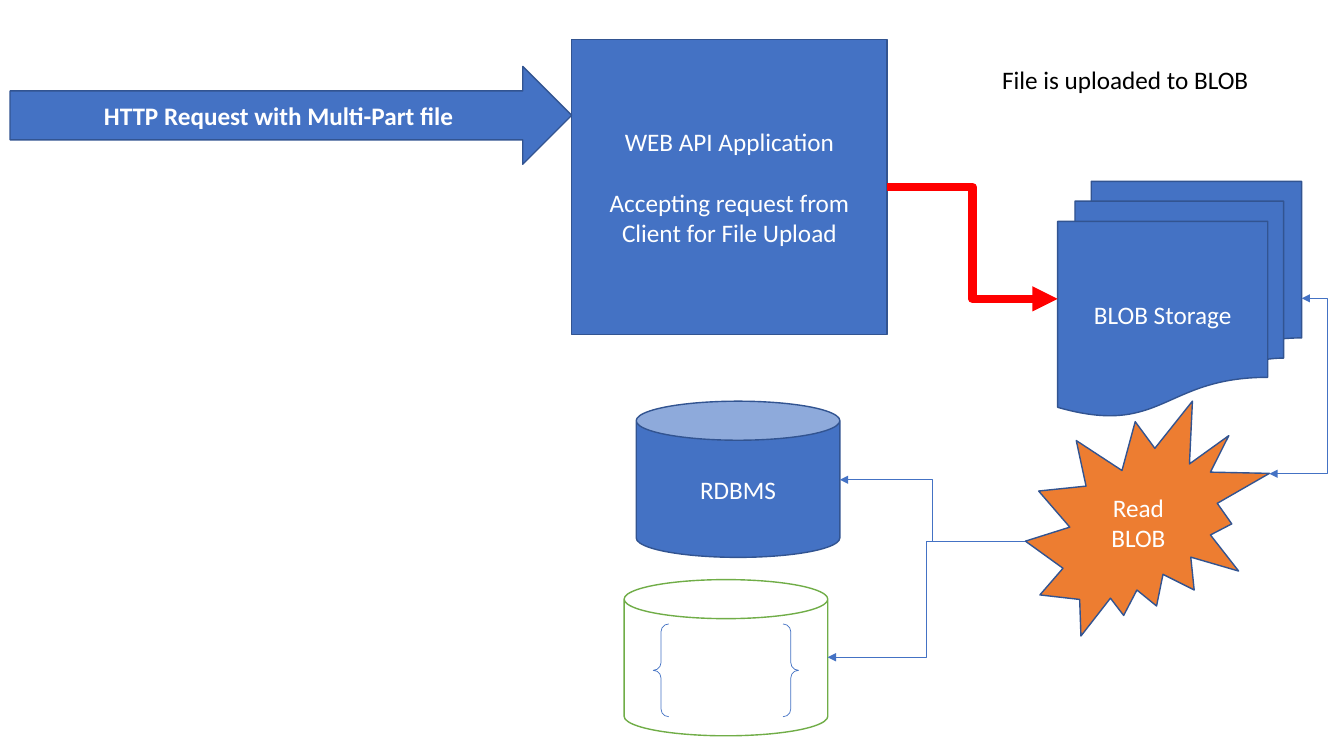
"""Build a slide showing how an uploaded file flows to BLOB storage and databases."""
import pptx
import pptx.dml.color
import pptx.enum.shapes
import pptx.enum.text
import pptx.oxml.ns
import pptx.util
from lxml import etree

Inches = pptx.util.Inches
Pt = pptx.util.Pt
Shapes = pptx.enum.shapes.MSO_SHAPE
BLUE, OUTLINE, ORANGE, GREEN = "4472C4", "325491", "ED7D31", "70AD47"
RED, WHITE, BLACK = "FF0000", "FFFFFF", "000000"


def set_color(color_format, value):
    color_format.rgb = pptx.dml.color.RGBColor.from_string(value)


def set_line(line, color, width):
    set_color(line.color, color)
    line.width = Pt(width)


def format_text(text_frame, color, bold=False):
    text_frame.word_wrap = True
    for paragraph in text_frame.paragraphs:
        for run in paragraph.runs:
            run.font.name = "Calibri"
            run.font.size = Pt(18)
            run.font.bold = bold
            set_color(run.font.color, color)


def add_block(slide, kind, box, text="", fill=BLUE, line=OUTLINE, width=1, bold=False):
    shape = slide.shapes.add_shape(kind, *map(Inches, box))
    shape.shadow.inherit = False
    if fill:
        shape.fill.solid()
        set_color(shape.fill.fore_color, fill)
    else:
        shape.fill.background()
    set_line(shape.line, line, width)
    if text:
        text_frame = shape.text_frame
        text_frame.text = text
        text_frame.vertical_anchor = pptx.enum.text.MSO_ANCHOR.MIDDLE
        for paragraph in text_frame.paragraphs:
            paragraph.alignment = pptx.enum.text.PP_ALIGN.CENTER
        format_text(text_frame, WHITE, bold)
    return shape


def add_label(slide, box, text):
    label = slide.shapes.add_textbox(*map(Inches, box))
    label.text_frame.text = text
    format_text(label.text_frame, BLACK)


def add_elbow(slide, start, end, color=BLUE, width=0.5, ends=("tailEnd",), bend=None):
    elbow = slide.shapes.add_connector(
        pptx.enum.shapes.MSO_CONNECTOR.ELBOW, *map(Inches, start + end))
    set_line(elbow.line, color, width)
    properties = elbow._element.spPr
    line = properties.find(pptx.oxml.ns.qn("a:ln"))
    for name in ends:
        etree.SubElement(line, pptx.oxml.ns.qn("a:" + name), type="triangle")
    etree.SubElement(properties, pptx.oxml.ns.qn("a:effectLst"))
    if bend is not None:
        adjustments = properties.find(pptx.oxml.ns.qn("a:prstGeom")).get_or_add_avLst()
        etree.SubElement(adjustments, pptx.oxml.ns.qn("a:gd"),
                         name="adj1", fmla=f"val {round(bend * 100000)}")
    return elbow


def main():
    presentation = pptx.Presentation()
    presentation.slide_width = Inches(13.33)
    presentation.slide_height = Inches(7.5)
    slide = presentation.slides.add_slide(presentation.slide_layouts[6])

    web_api = add_block(slide, Shapes.RECTANGLE, (5.67, 0.39, 3.13, 2.93),
                        "WEB API Application\nAccepting request from Client for File Upload")
    web_api.text_frame.paragraphs[1].space_before = Pt(22)
    add_block(slide, Shapes.RIGHT_ARROW, (0.1, 0.66, 5.57, 0.97),
              "HTTP Request with Multi-Part file", bold=True)
    storage = add_block(slide, Shapes.FLOWCHART_MULTIDOCUMENT, (10.49, 1.8, 2.42, 2.33),
                        "BLOB Storage")
    upload = add_elbow(slide, (8.8, 1.85), (10.49, 2.96), RED, 6)
    upload.begin_connect(web_api, 3)
    upload.end_connect(storage, 1)
    add_label(slide, (9.84, 0.59, 3.39, 0.4), "File is uploaded to BLOB")

    add_block(slide, Shapes.EXPLOSION2, (10.17, 3.98, 2.42, 2.33), "Read BLOB", fill=ORANGE)
    add_block(slide, Shapes.CAN, (6.31, 3.98, 2.02, 1.55), "RDBMS")
    add_block(slide, Shapes.CAN, (6.19, 5.75, 2.02, 1.55), fill=WHITE, line=GREEN)
    add_block(slide, Shapes.DOUBLE_BRACE, (6.48, 6.19, 1.44, 0.92),
              fill=None, line=BLUE, width=0.5)
    for database_side in ((8.33, 4.76), (8.21, 6.52)):
        add_elbow(slide, (10.17, 5.37), database_side)
    add_elbow(slide, (12.91, 2.96), (12.59, 4.7), ends=("headEnd", "tailEnd"), bend=-0.79)

    presentation.save("out.pptx")


if __name__ == "__main__":
    main()
